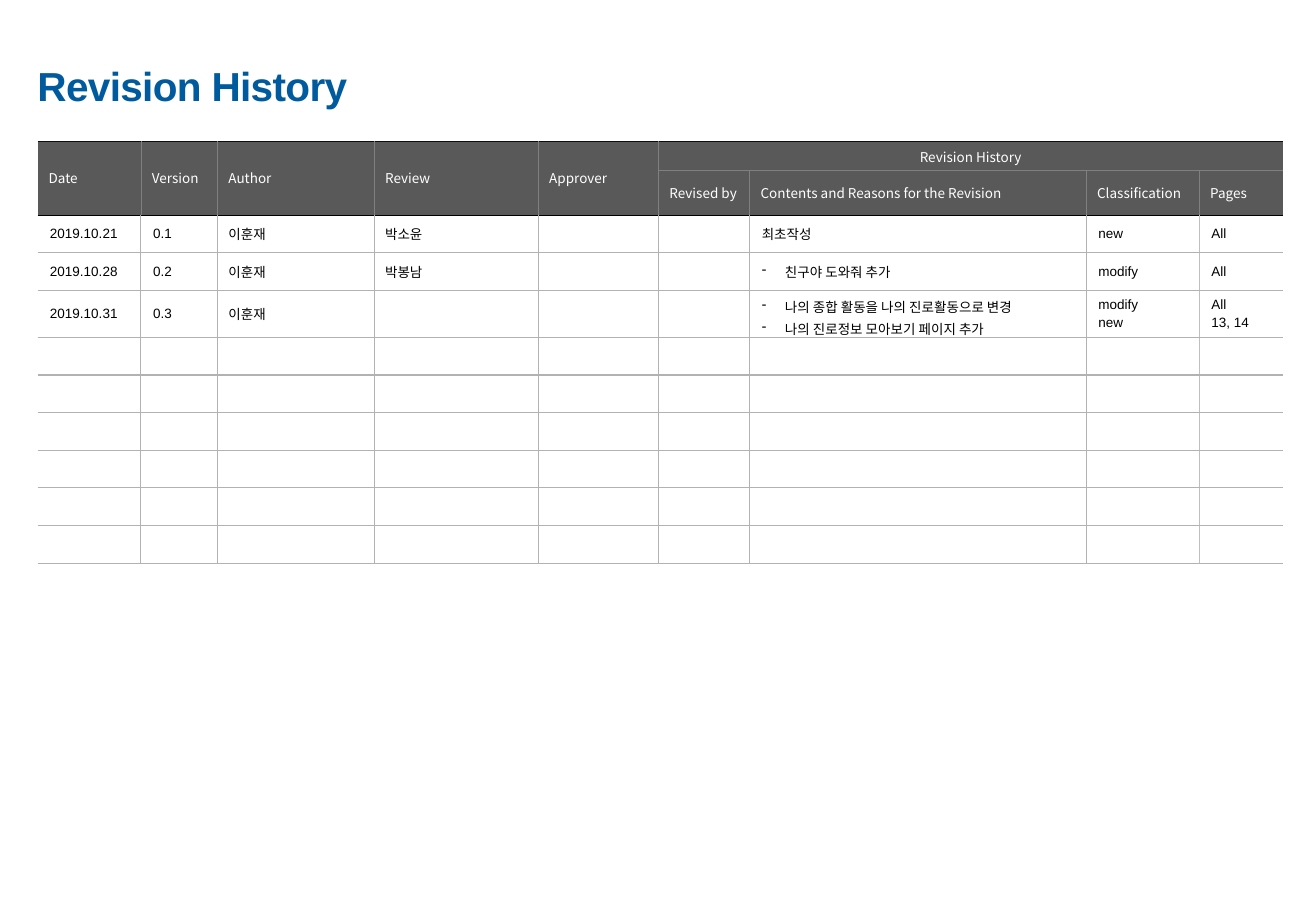
from dataclasses import dataclass

from lxml import etree
from pptx import Presentation
from pptx import util as u
from pptx.dml.color import RGBColor
from pptx.enum import text
from pptx.oxml import ns


@dataclass(frozen=True)
class Theme:
    title_color: str = "005A9E"
    header_fill: str = "595959"
    header_text: str = "FFFFFF"
    body_text: str = "000000"
    header_top: tuple = ("0D0D0D", 0.25)
    header_grid: tuple = ("808080", 0.25)
    header_bottom: tuple = ("000000", 0.25)
    body_grid: tuple = ("B2B2B2", 0.75)
    pages_edge: tuple = ("BFBFBF", 0.25)
    body_font: str = "Arial"
    header_font: str = "Noto Sans CJK KR"
    title_size: float = 24
    table_size: float = 8


COLUMN_WIDTHS = [0.85, 0.63, 1.29, 1.35, 0.99, 0.75, 2.77, 0.93, 0.69]
ROW_HEIGHTS = [0.24, 0.37] + [0.31] * 9
TALL_HEADERS = ["Date", "Version", "Author", "Review", "Approver"]
REVISION_HEADERS = ["Revised by", "Contents and Reasons for the Revision",
                    "Classification", "Pages"]
GROUP_COLUMN = len(TALL_HEADERS)
CONTENTS_COLUMN = 6
HEADER_ROWS = 2
REVISIONS = [
    ["2019.10.21", "0.1", "이훈재", "박소윤", "", "", "최초작성", "new", "All"],
    ["2019.10.28", "0.2", "이훈재", "박봉남", "", "", "친구야 도와줘 추가", "modify", "All"],
    ["2019.10.31", "0.3", "이훈재", "", "", "",
     "나의 종합 활동을 나의 진로활동으로 변경\n나의 진로정보 모아보기 페이지 추가",
     "modify\nnew", "All\n13, 14"],
]


class SlideBuilder:
    def __init__(self, slide, theme):
        self.slide = slide
        self.theme = theme

    def style(self, paragraph, font_name, size, color, bold=False):
        font = paragraph.font
        font.name = font_name
        font.size = u.Pt(size)
        font.bold = bold
        font.color.rgb = RGBColor.from_string(color)

    def title(self, content, left, top, width, height):
        shape = self.slide.shapes.add_textbox(*map(u.Inches, (left, top, width, height)))
        frame = shape.text_frame
        frame.word_wrap = True
        frame.auto_size = text.MSO_AUTO_SIZE.SHAPE_TO_FIT_TEXT
        paragraph = frame.paragraphs[0]
        run = paragraph.add_run()
        run.text = content
        run._r.get_or_add_rPr().set("spc", "-40")
        self.style(paragraph, self.theme.body_font, self.theme.title_size,
                   self.theme.title_color, bold=True)

    def table(self, left, top):
        size = (sum(COLUMN_WIDTHS), sum(ROW_HEIGHTS))
        shape = self.slide.shapes.add_table(
            len(ROW_HEIGHTS), len(COLUMN_WIDTHS), *map(u.Inches, (left, top, *size)))
        table = shape.table
        table.first_row = table.horz_banding = False
        for column, width in zip(table.columns, COLUMN_WIDTHS):
            column.width = u.Inches(width)
        for row, height in zip(table.rows, ROW_HEIGHTS):
            row.height = u.Inches(height)
        return table

    def horizontal_line(self, edge):
        theme = self.theme
        header_lines = [theme.header_top, theme.header_grid, theme.header_bottom]
        return header_lines[edge] if edge < len(header_lines) else theme.body_grid

    def vertical_line(self, row, edge):
        if edge in (0, len(COLUMN_WIDTHS)):
            return None
        if row < HEADER_ROWS:
            return self.theme.header_grid
        last_edge = len(COLUMN_WIDTHS) - 1
        return self.theme.pages_edge if edge == last_edge else self.theme.body_grid

    def borders(self, cell, row, column):
        bottom_edge = row + (cell.span_height if cell.is_merge_origin else 1)
        right_edge = column + (cell.span_width if cell.is_merge_origin else 1)
        lines = {
            "L": self.vertical_line(row, column),
            "R": self.vertical_line(row, right_edge),
            "T": self.horizontal_line(row),
            "B": self.horizontal_line(bottom_edge),
        }
        properties = cell._tc.get_or_add_tcPr()
        for side, line in lines.items():
            border = etree.SubElement(properties, ns.qn(f"a:ln{side}"))
            if line is None:
                etree.SubElement(border, ns.qn("a:noFill"))
                continue
            color, width = line
            border.set("w", str(u.Pt(width)))
            fill = etree.SubElement(border, ns.qn("a:solidFill"))
            etree.SubElement(fill, ns.qn("a:srgbClr")).set("val", color)

    def indent(self, paragraph, amount, bullet=None):
        properties = paragraph._p.get_or_add_pPr()
        properties.set("marL", str(u.Inches(amount)))
        properties.set("indent", str(-u.Inches(amount)))
        if bullet:
            mark = etree.Element(ns.qn("a:buChar"))
            mark.set("char", bullet)
            properties.find(ns.qn("a:defRPr")).addprevious(mark)

    def cell(self, table, row, column, content):
        theme = self.theme
        cell = table.cell(row, column)
        is_header = row < HEADER_ROWS
        self.borders(cell, row, column)
        if is_header:
            cell.fill.solid()
            cell.fill.fore_color.rgb = RGBColor.from_string(theme.header_fill)
        else:
            cell.fill.background()
        narrow = is_header or 2 <= column < GROUP_COLUMN
        cell.margin_left = cell.margin_right = u.Inches(0.09 if narrow else 0.1)
        cell.margin_top = cell.margin_bottom = u.Inches(0.05)
        cell.vertical_anchor = text.MSO_ANCHOR.MIDDLE
        cell.text = content
        for paragraph in cell.text_frame.paragraphs:
            paragraph.space_before = u.Pt(0.2 * theme.table_size)
            self.style(paragraph, theme.header_font if is_header else theme.body_font,
                       theme.table_size,
                       theme.header_text if is_header else theme.body_text)
            if cell.is_merge_origin and cell.span_width > 1:
                paragraph.alignment = text.PP_ALIGN.CENTER
            if not is_header and column == CONTENTS_COLUMN and content:
                self.indent(paragraph, 0.19, "-" if row > HEADER_ROWS else None)


def main():
    presentation = Presentation()
    presentation.slide_width = u.Inches(10.83)
    presentation.slide_height = u.Inches(7.5)
    slide = presentation.slides.add_slide(presentation.slide_layouts[6])
    builder = SlideBuilder(slide, Theme())
    builder.title("Revision History", 0.21, 0.45, 4.01, 0.5)

    table = builder.table(0.31, 1.16)
    last_column = len(COLUMN_WIDTHS) - 1
    for column in range(GROUP_COLUMN):
        table.cell(0, column).merge(table.cell(1, column))
    table.cell(0, GROUP_COLUMN).merge(table.cell(0, last_column))

    blank_row = [""] * len(COLUMN_WIDTHS)
    blank_count = len(ROW_HEIGHTS) - HEADER_ROWS - len(REVISIONS)
    contents = [
        TALL_HEADERS + ["Revision History", "", "", ""],
        [""] * GROUP_COLUMN + REVISION_HEADERS,
        *REVISIONS,
        *[blank_row] * blank_count,
    ]
    for row, values in enumerate(contents):
        for column, value in enumerate(values):
            builder.cell(table, row, column, value)
    presentation.save("out.pptx")


if __name__ == "__main__":
    main()
